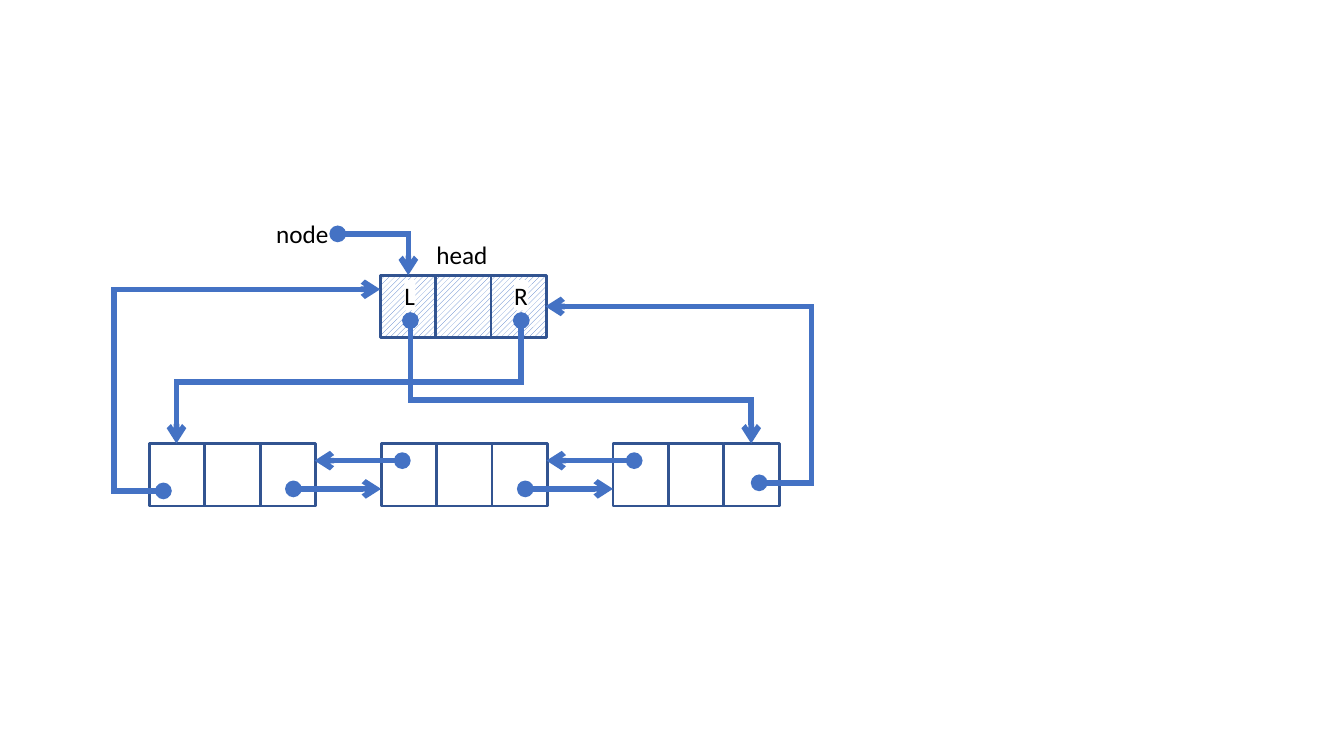
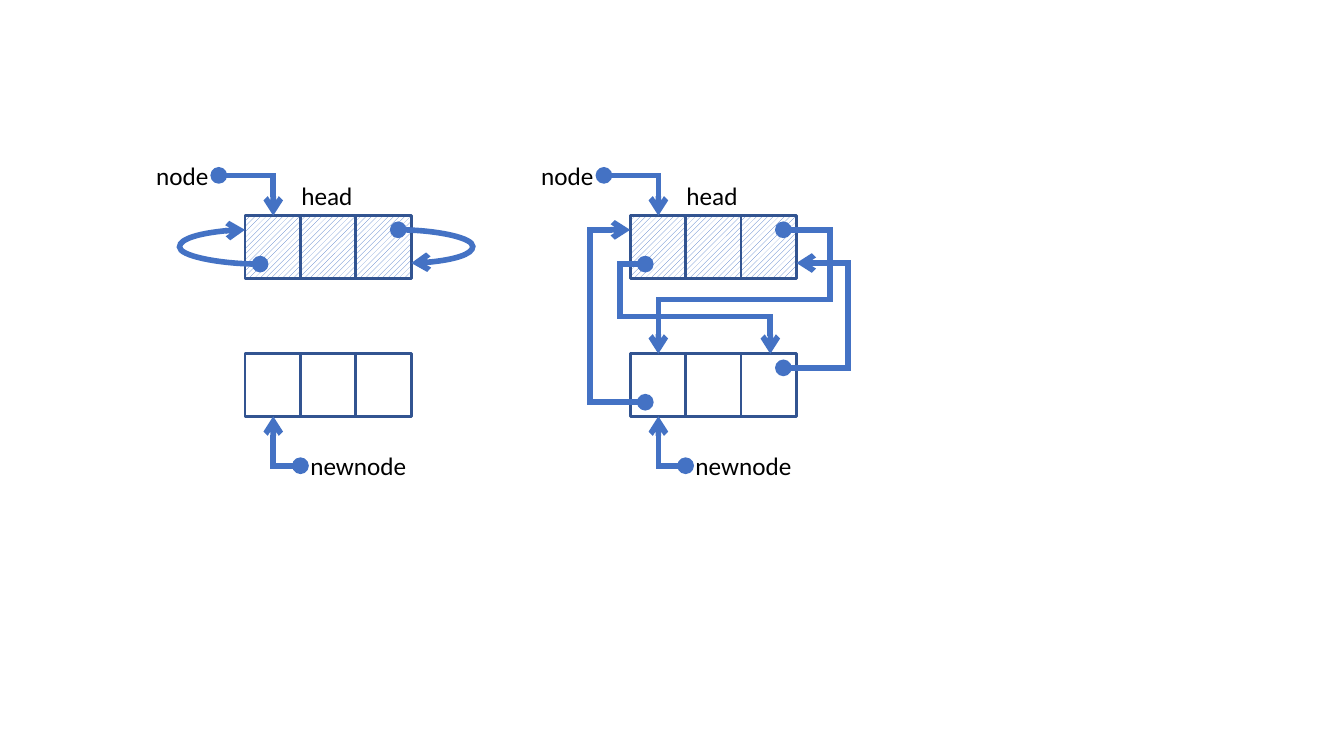
"""Build two slides that show circular doubly linked lists with a head node."""
from pptx import Presentation
from pptx.dml.color import RGBColor
from pptx.enum.dml import MSO_PATTERN
from pptx.enum.shapes import MSO_CONNECTOR, MSO_SHAPE
from pptx.enum.text import MSO_AUTO_SIZE
from pptx.oxml.ns import qn
from pptx.util import Inches, Pt
from lxml import etree

RECT = MSO_SHAPE.RECTANGLE
STRAIGHT = MSO_CONNECTOR.STRAIGHT
HATCH = MSO_PATTERN.WIDE_UPWARD_DIAGONAL
GROW = MSO_AUTO_SIZE.SHAPE_TO_FIT_TEXT

COLORS = {"link": "4472C4", "border": "325491", "paper": "FFFFFF", "text": "000000"}
RGB = {name: RGBColor.from_string(value) for name, value in COLORS.items()}
FONT = {"name": "Calibri", "size": Pt(18)}
NO_INSET = {"margin_left": 0, "margin_right": 0, "margin_top": 0, "margin_bottom": 0}
CELL_W, CELL_H = 0.55, 0.62


def add_link(s, start, end, kind="bent", turns=(), rot=0):
    """Draw a pointer from start to end; turns alternate between x and y positions."""
    dx, dy = end[0] - start[0], end[1] - start[1]
    cx, cy = (start[0] + end[0]) / 2, (start[1] + end[1]) / 2
    lx, ly = {0: (dx, dy), 90: (dy, -dx), 180: (-dx, -dy), 270: (-dy, dx)}[rot]
    left, top = Inches(cx - lx / 2), Inches(cy - ly / 2)
    if kind == "curved":
        c = s.shapes.add_shape(RECT, left, top, Inches(lx), Inches(ly))
        c.fill.background()
    else:
        c = s.shapes.add_connector(STRAIGHT, left, top,
                                   Inches(cx + lx / 2), Inches(cy + ly / 2))
    c.line.color.rgb = RGB["link"]
    c.line.width = Pt(4)
    sp_pr = c.element.spPr
    if kind != "line":
        geom = sp_pr.find(qn("a:prstGeom"))
        geom.set("prst", f"{kind}Connector{2 + len(turns)}")
        first_axis = 0 if rot in (0, 180) else 1
        for i, turn in enumerate(turns):
            axis = (first_axis + i) % 2
            ratio = (turn - start[axis]) / (end[axis] - start[axis])
            etree.SubElement(geom.find(qn("a:avLst")), qn("a:gd"),
                             name=f"adj{i + 1}", fmla=f"val {round(ratio * 100000)}")
    if rot:
        sp_pr.find(qn("a:xfrm")).set("rot", str(rot * 60000))
    ln = sp_pr.find(qn("a:ln"))
    etree.SubElement(ln, qn("a:miter"), lim="800000")
    etree.SubElement(ln, qn("a:headEnd"), type="oval")
    etree.SubElement(ln, qn("a:tailEnd"), type="arrow")
    etree.SubElement(sp_pr, qn("a:effectLst"))


def add_label(s, text, x, y, w, h=0.4, boxed=False):
    """Write a label; a boxed one has a paper fill and no insets."""
    sp = s.shapes.add_textbox(Inches(x), Inches(y), Inches(w), Inches(h))
    tf = sp.text_frame
    tf.word_wrap = False
    tf.auto_size = GROW
    if boxed:
        sp.fill.solid()
        sp.fill.fore_color.rgb = RGB["paper"]
        for attr, value in NO_INSET.items():
            setattr(tf, attr, value)
    r = tf.paragraphs[0].add_run()
    r.text = text
    for attr, value in FONT.items():
        setattr(r.font, attr, value)
    r.font.color.rgb = RGB["text"]


prs = Presentation()
prs.slide_width, prs.slide_height = Inches(13.33), Inches(7.5)
list_slide, insert_slide = [prs.slides.add_slide(prs.slide_layouts[6]) for _ in range(2)]

HEAD_X, HEAD_Y = 3.77, 2.73
ROW_X, ROW_Y, ROW_STEP = 1.48, 4.4, 2.3
PANELS = (2.43, 6.25)
TOP_Y, NEW_Y = 2.14, 3.51

nodes = [(list_slide, HEAD_X, HEAD_Y, True)]
nodes += [(list_slide, ROW_X + i * ROW_STEP, ROW_Y, False) for i in range(3)]
for x in PANELS:
    nodes += [(insert_slide, x, TOP_Y, True), (insert_slide, x, NEW_Y, False)]

for s, x, y, is_head in nodes:
    for i in range(3):
        sp = s.shapes.add_shape(RECT, Inches(x + i * CELL_W), Inches(y),
                                Inches(CELL_W), Inches(CELL_H))
        sp.shadow.inherit = False
        sp.line.color.rgb = RGB["border"]
        sp.line.width = Pt(2)
        if is_head:
            sp.fill.patterned()
            sp.fill.pattern = HATCH
            sp.fill.fore_color.rgb = RGB["link"]
            sp.fill.back_color.rgb = RGB["paper"]
        else:
            sp.fill.background()
    if is_head:
        add_label(s, "head", x + 0.46, y - 0.4, 0.72)

for i in range(2):
    x = ROW_X + i * ROW_STEP
    add_link(list_slide, (x + 1.43, 4.85), (x + ROW_STEP, 4.85), "line")
    add_link(list_slide, (x + 2.51, 4.57), (x + 1.64, 4.57), "line")
add_link(list_slide, (3.35, 2.32), (4.05, HEAD_Y))
add_link(list_slide, (7.53, 4.79), (5.41, 3.04), turns=[8.05])
add_link(list_slide, (1.62, 4.87), (HEAD_X, 2.87), turns=[1.13], rot=180)
add_link(list_slide, (5.17, 3.18), (1.75, ROW_Y), turns=[3.79], rot=90)
add_link(list_slide, (4.07, 3.18), (7.45, ROW_Y), turns=[3.97], rot=270)
add_label(list_slide, "node", 2.64, 2.12, 0.73)
add_label(list_slide, "L", 4.01, 2.78, 0.11, 0.3, boxed=True)
add_label(list_slide, "R", 5.1, 2.78, 0.14, 0.3, boxed=True)

for x in PANELS:
    add_label(insert_slide, "node", x - 0.98, 1.54, 0.73)
    add_label(insert_slide, "newnode", x + 0.55, 4.42, 1.17)
    add_link(insert_slide, (x - 0.26, 1.74), (x + 0.28, TOP_Y))
    add_link(insert_slide, (x + 0.55, 4.62), (x + 0.28, NEW_Y + CELL_H), rot=180)

before, after = PANELS
add_link(insert_slide, (before + 0.15, 2.62), (before, 2.28), "curved", [1.78], 180)
add_link(insert_slide, (before + 1.52, 2.28), (before + 1.65, 2.61), "curved", [4.69])
add_link(insert_slide, (after + 0.15, 2.62), (after + 1.39, NEW_Y), turns=[6.15, 3.14], rot=180)
add_link(insert_slide, (after + 1.52, 2.28), (after + 0.28, NEW_Y), turns=[8.23, 2.97])
add_link(insert_slide, (after + 0.15, 3.99), (after, 2.28), turns=[5.85], rot=180)
add_link(insert_slide, (after + 1.52, 3.65), (after + 1.65, 2.61), turns=[8.41])

prs.save("out.pptx")
